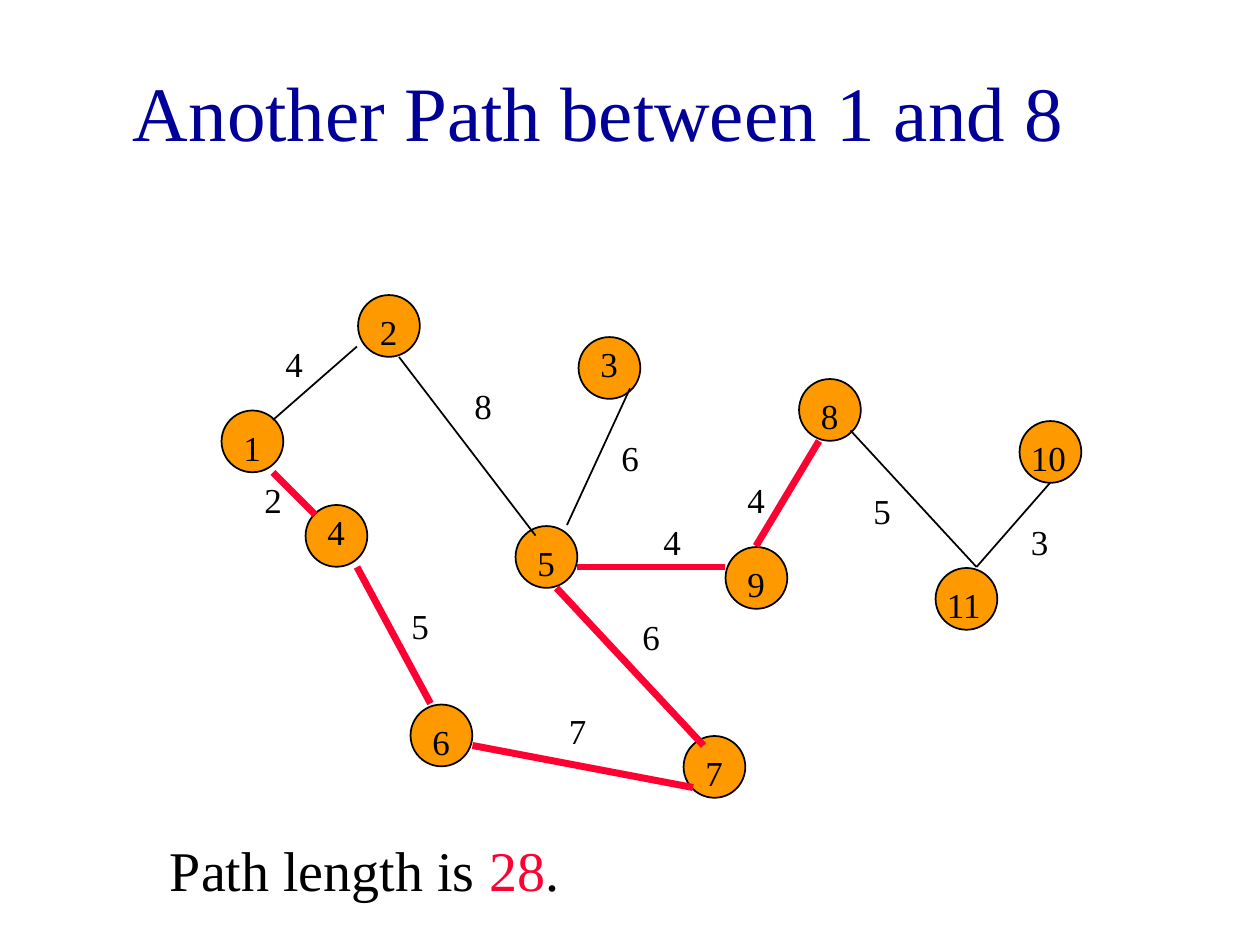
from typing import NamedTuple

from lxml.etree import SubElement
from pptx import Presentation
from pptx.dml.color import RGBColor
from pptx.enum.shapes import MSO_CONNECTOR, MSO_SHAPE
from pptx.enum.text import MSO_ANCHOR, PP_ALIGN
from pptx.oxml.ns import qn
from pptx.util import Pt

FONT = "Times New Roman"
NAVY, BLACK, ORANGE, RED = "000099", "000000", "FF9900", "FF0033"
NODE_SIZE = 35.3
NODE_INSET = 0.6
LABEL_HEIGHT = 31
WEIGHT_WIDTH = 24


class Node(NamedTuple):
    number: int
    left: float
    top: float
    label_left: float
    label_top: float
    label_width: float = 18


class Edge(NamedTuple):
    weight: int
    start: tuple[float, float]
    end: tuple[float, float]
    label: tuple[float, float]
    on_path: bool = False


class Run(NamedTuple):
    text: str
    color: str = BLACK


NODES = [
    Node(1, 126, 234, 132, 240),
    Node(2, 204, 168, 210, 174),
    Node(3, 330, 192, 336, 192),
    Node(4, 174, 288, 180, 288),
    Node(5, 294, 300, 300, 306),
    Node(6, 234, 402, 240, 408),
    Node(7, 390, 420, 396, 426),
    Node(8, 456, 216, 462, 222),
    Node(9, 414, 312, 420, 318),
    Node(10, 582, 240, 582, 246, 36),
    Node(11, 534, 324, 534, 330, 60),
]

EDGES = [
    Edge(4, (204, 198), (156, 240), (156, 192)),
    Edge(8, (228, 204), (306, 306), (264, 216)),
    Edge(6, (360, 222), (324, 300), (348, 246)),
    Edge(5, (486, 246), (558, 324), (492, 276)),
    Edge(3, (558, 324), (600, 276), (582, 294)),
    Edge(2, (156, 270), (180, 294), (144, 270), True),
    Edge(5, (204, 324), (246, 402), (228, 342), True),
    Edge(7, (270, 426), (396, 450), (318, 402), True),
    Edge(6, (318, 336), (402, 426), (360, 348), True),
    Edge(4, (330, 324), (414, 324), (372, 294), True),
    Edge(4, (468, 252), (432, 312), (420, 270), True),
]


def color_of(value: str) -> RGBColor:
    return RGBColor.from_string(value)


def apply_format(target, values: dict) -> None:
    for name, value in values.items():
        setattr(target, name, value)


def add_text(slide, box: tuple[float, float, float, float], runs: list[Run],
             size: float, alignment=PP_ALIGN.LEFT, anchor=MSO_ANCHOR.TOP) -> None:
    shape = slide.shapes.add_textbox(*map(Pt, box))
    frame = shape.text_frame
    apply_format(frame, {"word_wrap": True, "vertical_anchor": anchor})
    paragraph = frame.paragraphs[0]
    paragraph.alignment = alignment
    for item in runs:
        run = paragraph.add_run()
        run.text = item.text
        apply_format(run.font, {"name": FONT, "size": Pt(size)})
        run.font.color.rgb = color_of(item.color)


def add_node(slide, node: Node) -> None:
    shape = slide.shapes.add_shape(
        MSO_SHAPE.OVAL, Pt(node.left + NODE_INSET), Pt(node.top + NODE_INSET),
        Pt(NODE_SIZE), Pt(NODE_SIZE))
    shape.shadow.inherit = False
    shape.fill.solid()
    shape.fill.fore_color.rgb = color_of(ORANGE)
    shape.line.color.rgb = color_of(BLACK)
    shape.line.width = Pt(1)


def add_edge(slide, edge: Edge) -> None:
    connector = slide.shapes.add_connector(
        MSO_CONNECTOR.STRAIGHT, *map(Pt, edge.start + edge.end))
    connector.line.color.rgb = color_of(RED if edge.on_path else BLACK)
    connector.line.width = Pt(4 if edge.on_path else 1)
    SubElement(connector._element.spPr, qn("a:effectLst"))


def main() -> None:
    presentation = Presentation()
    presentation.slide_width, presentation.slide_height = Pt(720), Pt(540)
    slide = presentation.slides.add_slide(presentation.slide_layouts[6])

    # Title
    add_text(slide, (36, 18, 612, 90), [Run("Another Path between 1 and 8", NAVY)],
             44, PP_ALIGN.CENTER, MSO_ANCHOR.MIDDLE)

    # Graph: circles, then edges, then numbers on top
    for node in NODES:
        add_node(slide, node)
    for edge in EDGES:
        add_edge(slide, edge)
    for node in NODES:
        add_text(slide, (node.label_left, node.label_top, node.label_width, LABEL_HEIGHT),
                 [Run(str(node.number))], 20)
    for edge in EDGES:
        add_text(slide, (*edge.label, WEIGHT_WIDTH, LABEL_HEIGHT),
                 [Run(str(edge.weight))], 20)

    # Path length
    length = sum(edge.weight for edge in EDGES if edge.on_path)
    add_text(slide, (90, 474, 522, 45),
             [Run("Path length is "), Run(str(length), RED), Run(".")], 32)

    presentation.save("out.pptx")


if __name__ == "__main__":
    main()
